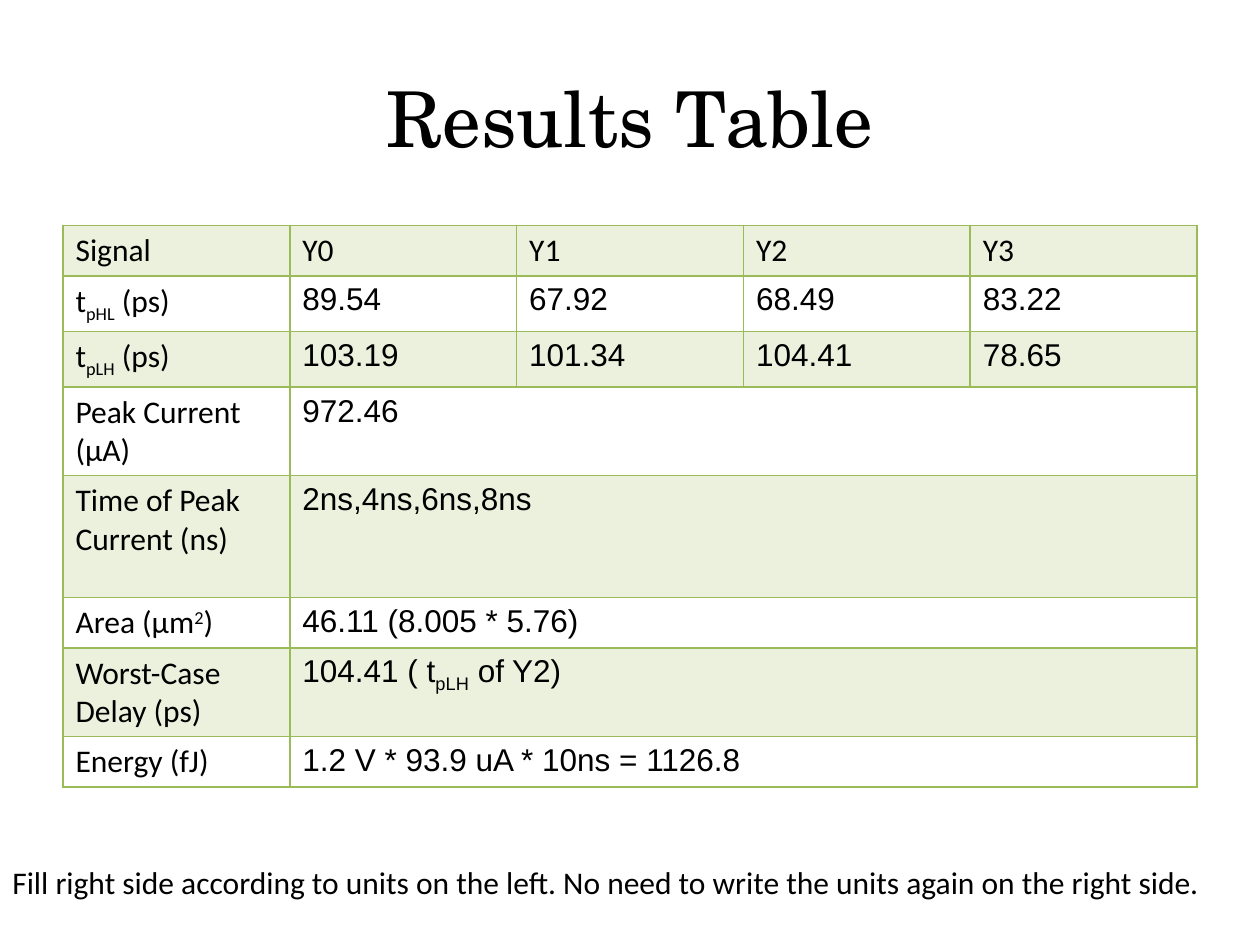
from dataclasses import dataclass

from lxml import etree
from pptx import Presentation
from pptx import util as u
from pptx.dml import color
from pptx.enum import text
from pptx.oxml import ns

WIDTH, HEIGHT = 10, 7.5
COLOURS = {"ink": "000000", "green": "9BBB59"}
BAND_ALPHA = 20
BORDER_POINTS = 0.96
COLUMNS = 5
SUB, SUPER = -25, 30


@dataclass(frozen=True)
class Piece:
    words: str
    baseline: int = 0


@dataclass(frozen=True)
class Style:
    font: str
    size: float = 18
    align: text.PP_ALIGN = text.PP_ALIGN.LEFT
    anchor: text.MSO_ANCHOR = text.MSO_ANCHOR.TOP


@dataclass(frozen=True)
class Row:
    height: float
    label: tuple[Piece, ...]
    values: tuple[tuple[Piece, ...], ...]
    font: str = "Arial"


def plain(*words: str) -> tuple[tuple[Piece, ...], ...]:
    return tuple((Piece(word),) for word in words)


def delay(kind: str, before: str, after: str) -> tuple[Piece, ...]:
    return Piece(before + "t"), Piece(kind, SUB), Piece(after)


LABEL = Style("Calibri")
TITLE = Style("TeX Gyre Schola", 44, text.PP_ALIGN.CENTER, text.MSO_ANCHOR.MIDDLE)
ROWS = (
    Row(0.39, (Piece("Signal"),), plain("Y0", "Y1", "Y2", "Y3"), "Calibri"),
    Row(0.43, delay("pHL", "", " (ps)"), plain("89.54", "67.92", "68.49", "83.22")),
    Row(0.43, delay("pLH", "", " (ps)"), plain("103.19", "101.34", "104.41", "78.65")),
    Row(0.68, (Piece("Peak Current (µA)"),), plain("972.46")),
    Row(0.97, (Piece("Time of Peak Current (ns)"),), plain("2ns,4ns,6ns,8ns")),
    Row(0.39, (Piece("Area (µm"), Piece("2", SUPER), Piece(")")),
        plain("46.11 (8.005 * 5.76)")),
    Row(0.68, (Piece("Worst-Case Delay (ps)"),), (delay("pLH", "104.41 ( ", " of Y2)"),)),
    Row(0.39, (Piece("Energy (fJ)"),), plain("1.2 V * 93.9 uA * 10ns = 1126.8")),
)


def write(para, pieces: tuple[Piece, ...], style: Style) -> None:
    para.alignment = style.align
    for piece in pieces:
        span = para.add_run()
        span.text = piece.words
        for name, value in {"name": style.font, "size": u.Pt(style.size)}.items():
            setattr(span.font, name, value)
        span.font.color.rgb = color.RGBColor.from_string(COLOURS["ink"])
        if piece.baseline:
            span.font._element.set("baseline", str(piece.baseline * 1000))


def add_text(page, left: float, top: float, width: float, height: float,
             words: str, style: Style) -> None:
    box = page.shapes.add_textbox(*(
        u.Inches(share * side)
        for share, side in zip((left, top, width, height), (WIDTH, HEIGHT) * 2)
    ))
    frame = box.text_frame
    for name, value in {"word_wrap": True, "vertical_anchor": style.anchor}.items():
        setattr(frame, name, value)
    write(frame.paragraphs[0], (Piece(words),), style)


def add_borders(cell) -> None:
    properties = cell._tc.get_or_add_tcPr()
    for side in ("lnL", "lnR", "lnT", "lnB"):
        line = etree.SubElement(properties, ns.qn(f"a:{side}"), w=str(u.Pt(BORDER_POINTS)))
        fill = etree.SubElement(line, ns.qn("a:solidFill"))
        etree.SubElement(fill, ns.qn("a:srgbClr"), val=COLOURS["green"])


def fill_cell(cell, banded: bool) -> None:
    add_borders(cell)
    if not banded:
        cell.fill.background()
        return
    cell.fill.solid()
    cell.fill.fore_color.rgb = color.RGBColor.from_string(COLOURS["green"])
    tint = cell._tc.tcPr.find(f"{ns.qn('a:solidFill')}/{ns.qn('a:srgbClr')}")
    etree.SubElement(tint, ns.qn("a:alpha"), val=str(BAND_ALPHA * 1000))


def add_results(page, rows: tuple[Row, ...]) -> None:
    table = page.shapes.add_table(
        len(rows), COLUMNS, u.Inches(0.05 * WIDTH), u.Inches(1.79),
        u.Inches(0.9 * WIDTH), u.Inches(sum(row.height for row in rows)),
    ).table
    for name in ("first_row", "horz_banding"):
        setattr(table, name, False)
    for index, row in enumerate(rows):
        table.rows[index].height = u.Inches(row.height)
        for column in range(COLUMNS):
            fill_cell(table.cell(index, column), index % 2 == 0)
        if len(row.values) == 1:
            table.cell(index, 1).merge(table.cell(index, COLUMNS - 1))
        write(table.cell(index, 0).text_frame.paragraphs[0], row.label, LABEL)
        for column, value in enumerate(row.values, 1):
            write(table.cell(index, column).text_frame.paragraphs[0], value, Style(row.font))


def main() -> None:
    deck = Presentation()
    deck.slide_width, deck.slide_height = u.Inches(WIDTH), u.Inches(HEIGHT)
    page = deck.slides.add_slide(deck.slide_layouts[6])
    add_text(page, 0.05, 0.04, 0.9, 1 / 6, "Results Table", TITLE)
    add_results(page, ROWS)
    add_text(page, 0, 6.8 / HEIGHT, 0.97, 0.7 / HEIGHT,
             "Fill right side according to units on the left. "
             "No need to write the units again on the right side.", LABEL)
    deck.save("out.pptx")


if __name__ == "__main__":
    main()
